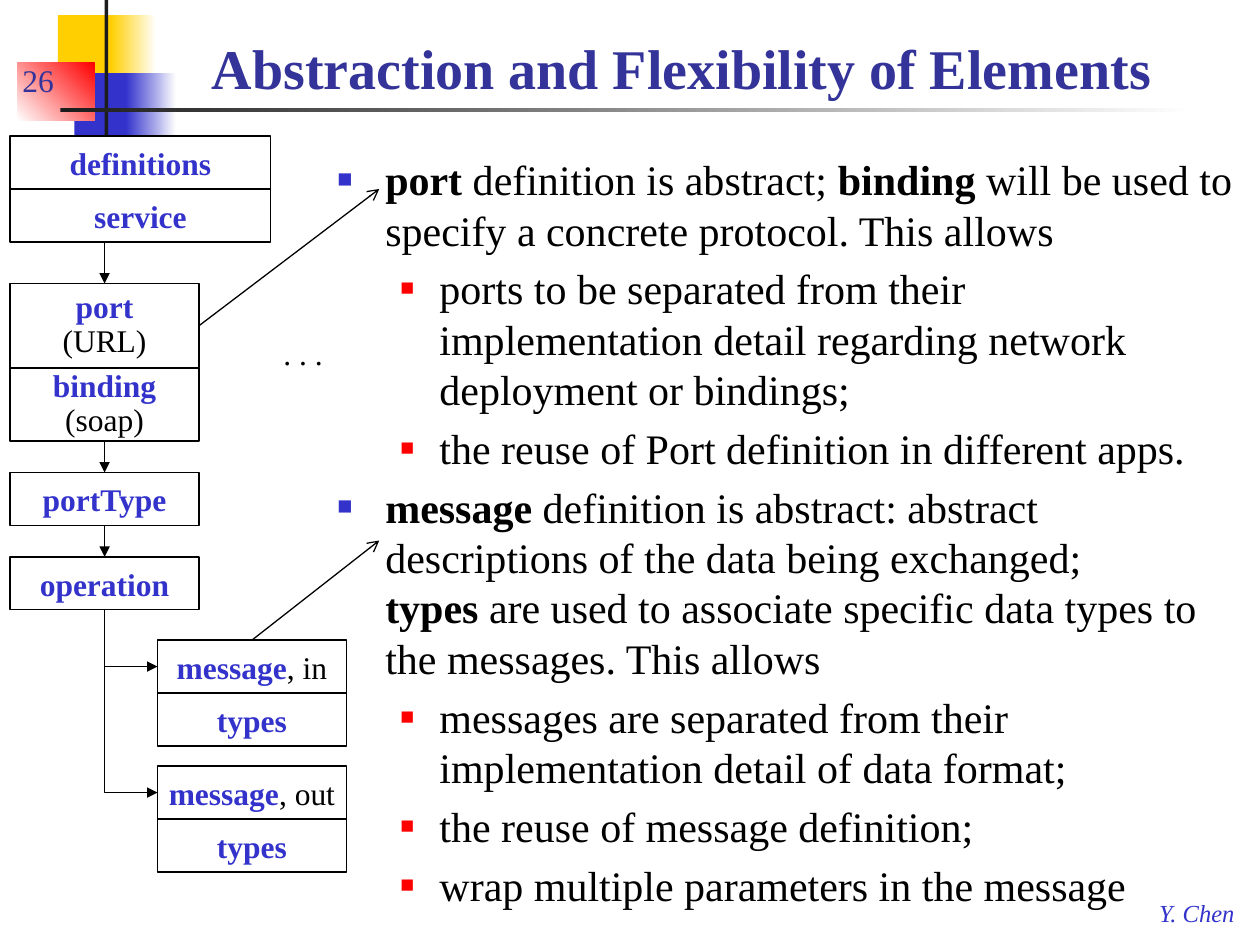
from dataclasses import dataclass

from lxml import etree
from pptx import Presentation
from pptx.dml.color import RGBColor
from pptx.enum.shapes import MSO_CONNECTOR, MSO_SHAPE
from pptx.enum.text import MSO_ANCHOR, MSO_AUTO_SIZE, PP_ALIGN
from pptx.oxml.ns import qn
from pptx.util import Inches, Pt

RECTANGLE = MSO_SHAPE.RECTANGLE
STRAIGHT, ELBOW = MSO_CONNECTOR.STRAIGHT, MSO_CONNECTOR.ELBOW
TOP, LEFT, BOTTOM, RIGHT = range(4)


@dataclass(frozen=True)
class Theme:
    font: str = "Times New Roman"
    blue: str = "3333CC"
    navy: str = "333399"
    yellow: str = "FFCF01"
    red: str = "FF0000"
    dark: str = "1C1C1C"
    black: str = "000000"
    white: str = "FFFFFF"
    title_size: int = 32
    body_size: int = 24
    label_size: int = 18
    author_size: int = 14
    line_width: float = 0.75


THEME = Theme()


@dataclass(frozen=True)
class Decoration:
    left: float
    top: float
    width: float
    height: float
    color: str
    end_color: str = ""
    angle: int = 0


@dataclass(frozen=True)
class Node:
    name: str
    left: float
    top: float
    height: float
    keyword: str
    suffix: str = ""
    second_line: str = ""
    width: float = 1.5


@dataclass(frozen=True)
class Bullet:
    level: int
    runs: tuple  # (text, bold) pairs; "\v" is a line break


def format_run(run, size: float, color: str, bold=False, italic=False) -> None:
    run.font.name, run.font.size = THEME.font, Pt(size)
    run.font.bold, run.font.italic = bold, italic
    run.font.color.rgb = RGBColor.from_string(color)


def draw_decoration(shapes, item: Decoration) -> None:
    shape = shapes.add_shape(RECTANGLE, Inches(item.left), Inches(item.top),
                             Inches(item.width), Inches(item.height))
    shape.shadow.inherit = False
    shape.line.fill.background()
    if not item.end_color:
        shape.fill.solid()
        shape.fill.fore_color.rgb = RGBColor.from_string(item.color)
        return
    shape.fill.gradient()
    shape.fill.gradient_angle = item.angle
    for stop, color in zip(shape.fill.gradient_stops, (item.color, item.end_color)):
        stop.color.rgb = RGBColor.from_string(color)


def draw_label(shapes, text: str, box: tuple, size: float, color: str,
               italic=False, wrap=False, anchor=MSO_ANCHOR.TOP) -> None:
    frame = shapes.add_textbox(*map(Inches, box)).text_frame
    frame.text, frame.word_wrap, frame.vertical_anchor = text, wrap, anchor
    format_run(frame.paragraphs[0].runs[0], size, color, italic=italic)


def draw_node(shapes, node: Node):
    shape = shapes.add_shape(RECTANGLE, Inches(node.left), Inches(node.top),
                             Inches(node.width), Inches(node.height))
    shape.shadow.inherit = False
    shape.fill.solid()
    shape.fill.fore_color.rgb = RGBColor.from_string(THEME.white)
    shape.line.color.rgb = RGBColor.from_string(THEME.black)
    shape.line.width = Pt(THEME.line_width)
    frame = shape.text_frame
    frame.word_wrap, frame.vertical_anchor = False, MSO_ANCHOR.MIDDLE
    frame.text = node.keyword
    first = frame.paragraphs[0]
    format_run(first.runs[0], THEME.label_size, THEME.blue, bold=True)
    if node.suffix:
        run = first.add_run()
        run.text = node.suffix
        format_run(run, THEME.label_size, THEME.black)
    if node.second_line:
        second = frame.add_paragraph()
        second.text = node.second_line
        format_run(second.runs[0], THEME.label_size, THEME.black)
        first.line_spacing = second.line_spacing = 0.9
    for paragraph in frame.paragraphs:
        paragraph.alignment = PP_ALIGN.CENTER
    return shape


def draw_arrow(shapes, start: tuple, end: tuple, head="triangle",
               begin=None, finish=None, kind=STRAIGHT) -> None:
    """begin and finish are optional (shape, connection site) pairs."""
    connector = shapes.add_connector(kind, *map(Inches, start + end))
    if begin:
        connector.begin_connect(*begin)
    if finish:
        connector.end_connect(*finish)
    if kind == ELBOW:
        bend_down_then_right(connector)
    connector.line.color.rgb = RGBColor.from_string(THEME.black)
    connector.line.width = Pt(THEME.line_width)
    properties = connector.element.spPr
    etree.SubElement(properties.find(qn("a:ln")), qn("a:tailEnd"), type=head)
    etree.SubElement(properties, qn("a:effectLst"))


def bend_down_then_right(connector) -> None:
    across, down = connector.width, connector.height
    middle_x, middle_y = connector.left + across // 2, connector.top + down // 2
    connector.left, connector.top = middle_x - down // 2, middle_y - across // 2
    connector.width, connector.height = down, across
    properties = connector.element.spPr
    properties.find(qn("a:prstGeom")).set("prst", "bentConnector2")
    transform = properties.find(qn("a:xfrm"))
    transform.set("rot", str(270 * 60000))
    transform.set("flipH", "1")


def write_bullet(paragraph, bullet: Bullet) -> None:
    margin, hanging, color, percent = (
        (0.38, 0.38, THEME.blue, 60), (0.81, 0.31, THEME.red, 55))[bullet.level]
    paragraph.level = bullet.level
    properties = paragraph._p.get_or_add_pPr()
    properties.set("marL", str(Inches(margin)))
    properties.set("indent", str(-Inches(hanging)))
    bullet_color = etree.SubElement(properties, qn("a:buClr"))
    etree.SubElement(bullet_color, qn("a:srgbClr"), val=color)
    etree.SubElement(properties, qn("a:buSzPct"), val=str(percent * 1000))
    etree.SubElement(properties, qn("a:buFont"), typeface=THEME.font)
    etree.SubElement(properties, qn("a:buChar"), char="■")
    for text, bold in bullet.runs:
        if text == "\v":
            paragraph.add_line_break()
            continue
        run = paragraph.add_run()
        run.text = text
        format_run(run, THEME.body_size, THEME.black, bold=bold)


DECORATIONS = (
    Decoration(0.46, 0.12, 0.48, 0.52, THEME.yellow),
    Decoration(0.88, 0.12, 0.36, 0.52, THEME.yellow, THEME.white),
    Decoration(0.59, 0.58, 0.46, 0.52, THEME.blue),
    Decoration(1, 0.58, 0.4, 0.52, THEME.blue, THEME.white),
    Decoration(0.14, 0.5, 0.61, 0.46, THEME.white, THEME.red, 45),
    Decoration(0.83, 0, 0.03, 1.15, THEME.dark),
    Decoration(0.48, 0.86, 9, 0.03, THEME.dark, THEME.white),
)
NODES = (
    Node("definitions", 0.08, 1.08, 0.42, "definitions", width=2.07),
    Node("service", 0.08, 1.5, 0.42, "service", width=2.07),
    Node("port", 0.08, 2.25, 0.67, "port", second_line="(URL)"),
    Node("binding", 0.08, 2.92, 0.58, "binding", second_line="(soap)"),
    Node("portType", 0.08, 3.75, 0.42, "portType"),
    Node("operation", 0.08, 4.42, 0.42, "operation"),
    Node("message in", 1.25, 5.08, 0.42, "message", ", in"),
    Node("types in", 1.25, 5.5, 0.42, "types"),
    Node("message out", 1.25, 6.08, 0.42, "message", ", out"),
    Node("types out", 1.25, 6.5, 0.42, "types"),
)
BULLETS = (
    Bullet(0, (("port", True), (" definition is abstract; ", False), ("binding", True),
               (" will be used to specify a concrete protocol. This allows", False))),
    Bullet(1, (("ports to be separated from their implementation detail "
                "regarding network deployment or bindings;", False),)),
    Bullet(1, (("the reuse of Port definition in different apps.", False),)),
    Bullet(0, (("message", True), (" definition is abstract: abstract descriptions "
                                   "of the data being exchanged; ", False),
               ("\v", False), ("types", True), (" are used to associate specific data "
                                                "types to the messages. This allows", False))),
    Bullet(1, (("messages are separated from their implementation detail "
                "of data format;", False),)),
    Bullet(1, (("the reuse of message definition;", False),)),
    Bullet(1, (("wrap multiple parameters in the message", False),)),
)


def main() -> None:
    presentation = Presentation()
    presentation.slide_width, presentation.slide_height = Inches(10), Inches(7.5)
    slide = presentation.slides.add_slide(presentation.slide_layouts[5])
    shapes = slide.shapes

    # Corner decoration, author and slide number
    for item in DECORATIONS:
        draw_decoration(shapes, item)
    draw_label(shapes, "Y. Chen", (9.1, 7.08, 0.82, 0.33), THEME.author_size,
               THEME.blue, italic=True)
    draw_label(shapes, "26", (0.08, 0.33, 0.67, 0.5), THEME.label_size, THEME.navy,
               wrap=True, anchor=MSO_ANCHOR.BOTTOM)

    # Title
    title = shapes.title
    title.left, title.top, title.width, title.height = map(Inches, (1.58, 0.17, 8.33, 0.68))
    frame = title.text_frame
    frame.text = "Abstraction and Flexibility of Elements"
    frame.auto_size, frame.vertical_anchor = MSO_AUTO_SIZE.NONE, MSO_ANCHOR.BOTTOM
    frame.paragraphs[0].alignment = PP_ALIGN.LEFT
    format_run(frame.paragraphs[0].runs[0], THEME.title_size, THEME.navy, bold=True)

    # Explanation
    frame = shapes.add_textbox(*map(Inches, (2.58, 1.17, 7.33, 6.08))).text_frame
    frame.word_wrap = True
    for index, bullet in enumerate(BULLETS):
        paragraph = frame.add_paragraph() if index else frame.paragraphs[0]
        write_bullet(paragraph, bullet)
        if index:
            paragraph.space_before = Pt(0.2 * THEME.body_size)

    # Element hierarchy
    nodes = {node.name: draw_node(shapes, node) for node in NODES}
    draw_label(shapes, ". . .", (2.15, 2.6, 0.51, 0.4), THEME.label_size, THEME.black)

    # Arrows down the hierarchy
    draw_arrow(shapes, (0.83, 1.92), (0.83, 2.25), finish=(nodes["port"], TOP))
    for upper, lower in (("binding", "portType"), ("portType", "operation")):
        draw_arrow(shapes, (0, 0), (0, 0), begin=(nodes[upper], BOTTOM),
                   finish=(nodes[lower], TOP))
    for message in ("message in", "message out"):
        draw_arrow(shapes, (0, 0), (0, 0), begin=(nodes["operation"], BOTTOM),
                   finish=(nodes[message], LEFT), kind=ELBOW)

    # Arrows to the explanation
    draw_arrow(shapes, (1.58, 2.58), (3.01, 1.5), "arrow", begin=(nodes["port"], RIGHT))
    draw_arrow(shapes, (2, 5.08), (3.01, 4.29), "arrow", begin=(nodes["message in"], TOP))
    presentation.save("out.pptx")


if __name__ == "__main__":
    main()
